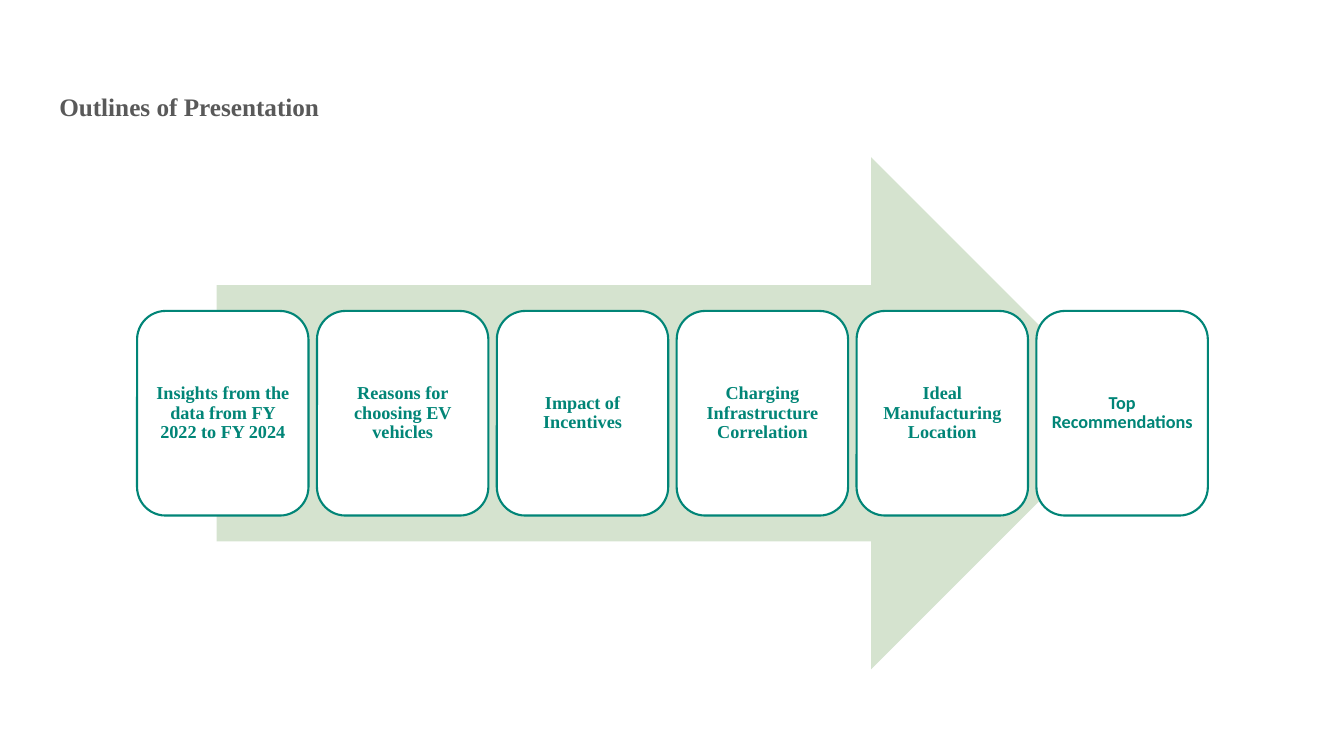
from pptx import Presentation
from pptx.dml.color import RGBColor
from pptx.enum.shapes import MSO_SHAPE
from pptx.enum.text import MSO_ANCHOR, PP_ALIGN
from pptx.util import Inches, Pt

COLORS = {"arrow": "D5E3CF", "card": "FFFFFF", "teal": "018577", "title": "595959"}
SERIF, SANS = "Times New Roman", "Calibri"
TOPICS = [
    ("Insights from the data from FY 2022 to FY 2024", SERIF),
    ("Reasons for choosing EV vehicles", SERIF),
    ("Impact of Incentives", SERIF),
    ("Charging Infrastructure Correlation", SERIF),
    ("Ideal Manufacturing Location", SERIF),
    ("Top Recommendations", SANS),
]
ROW_LEFT, ROW_RIGHT, CARD_W, CARD_H = 1.36, 11.98, 1.7, 2.03
PITCH = (ROW_RIGHT - ROW_LEFT - CARD_W) / (len(TOPICS) - 1)
MID_Y = 4.1


def rgb(name):
    return RGBColor.from_string(COLORS[name])


def write(tf, text, *, font, size, color, align=PP_ALIGN.LEFT, spacing=1.0):
    tf.word_wrap = True
    p = tf.paragraphs[0]
    p.alignment = align
    p.line_spacing = spacing
    r = p.add_run()
    r.text = text
    r.font.name = font
    r.font.size = Pt(size)
    r.font.bold = True
    r.font.color.rgb = rgb(color)


def add_centred(slide, kind, left, width, height, fill, line=None):
    """Add a preset shape whose middle lies on the arrow's axis."""
    sp = slide.shapes.add_shape(kind, Inches(left), Inches(MID_Y - height / 2),
                                Inches(width), Inches(height))
    sp.shadow.inherit = False
    sp.fill.solid()
    sp.fill.fore_color.rgb = rgb(fill)
    if line:
        sp.line.color.rgb = rgb(line)
        sp.line.width = Pt(1.5)
    else:
        sp.line.fill.background()
    return sp


def add_card(slide, column, text, font):
    sp = add_centred(slide, MSO_SHAPE.ROUNDED_RECTANGLE, ROW_LEFT + column * PITCH,
                     CARD_W, CARD_H, "card", "teal")
    tf = sp.text_frame
    tf.margin_left = tf.margin_right = tf.margin_top = tf.margin_bottom = Inches(0.05)
    tf.vertical_anchor = MSO_ANCHOR.MIDDLE
    write(tf, text, font=font, size=13, color="teal", align=PP_ALIGN.CENTER, spacing=0.9)


def add_title(slide, text):
    sp = slide.shapes.add_textbox(Inches(0.49), Inches(0.86), Inches(9.77), Inches(0.4))
    write(sp.text_frame, text, font=SERIF, size=18, color="title")


def main():
    prs = Presentation()
    prs.slide_width, prs.slide_height = Inches(13.33), Inches(7.5)
    slide = prs.slides.add_slide(prs.slide_layouts[6])
    add_centred(slide, MSO_SHAPE.RIGHT_ARROW, 2.15, 9.03, 5.08, "arrow")
    for column, (text, font) in enumerate(TOPICS):
        add_card(slide, column, text, font)
    add_title(slide, "Outlines of Presentation")
    prs.save("out.pptx")


if __name__ == "__main__":
    main()
